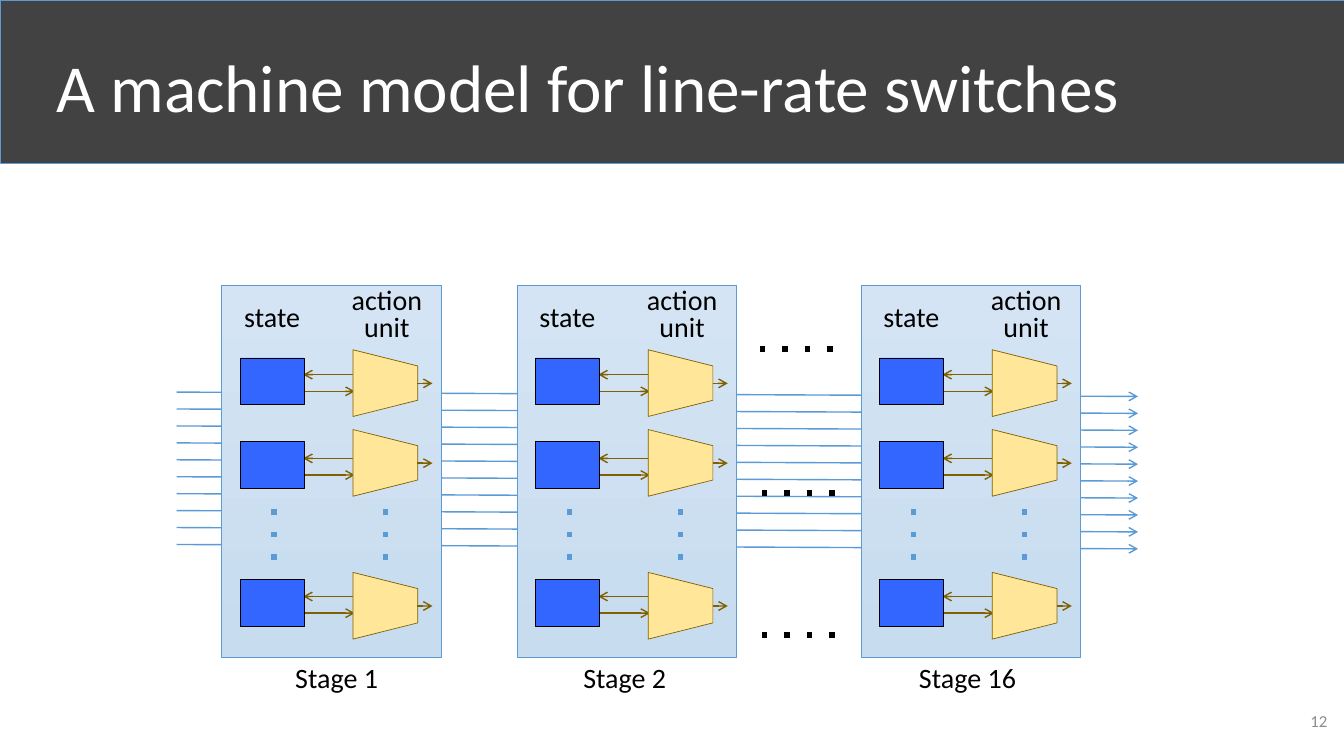
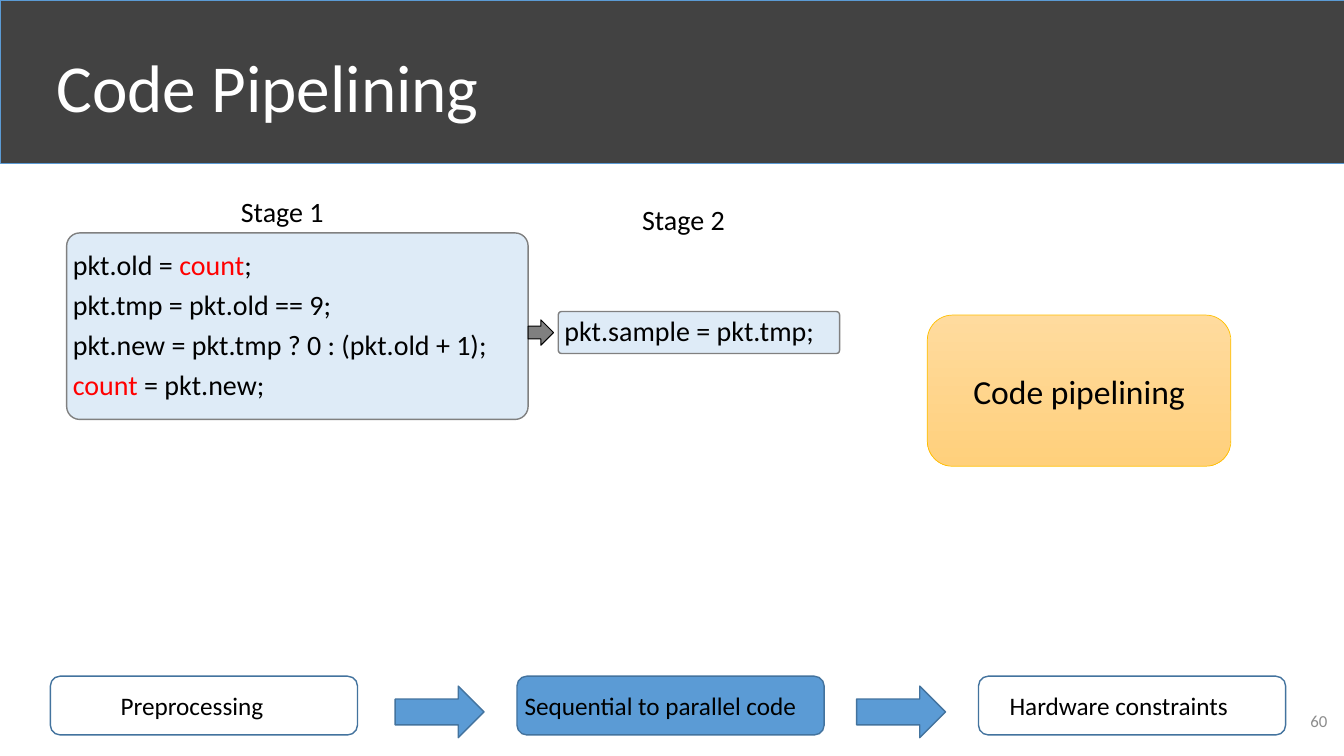
import lxml.etree
import pptx
import pptx.dml.color
import pptx.enum.shapes
import pptx.enum.text
import pptx.oxml.ns
import pptx.util

Cm = pptx.util.Cm
Pt = pptx.util.Pt
SHAPES = pptx.enum.shapes.MSO_SHAPE
ALIGN = pptx.enum.text.PP_ALIGN
ANCHOR = pptx.enum.text.MSO_ANCHOR
qn = pptx.oxml.ns.qn

FONT = "Calibri"
COLOURS = {
    "band": "424242", "blue": "5B9BD5", "blue_edge": "43739E",
    "white": "FFFFFF", "black": "000000", "grey": "808080",
    "page_number": "8C8C8C", "state": "3366FF", "unit": "FFE699",
    "brown": "806000", "stage_top": "D4E4F4", "stage_bottom": "C7DCEF",
    "code": "DEEBF7", "red": "FF0000", "gold": "FFC000",
    "orange_top": "FFDB9E", "orange_bottom": "FFD07C",
}
SLIDE_WIDTH, SLIDE_HEIGHT = 33.87, 19.05
BAND_BOX = (0, 0, SLIDE_WIDTH, 4.11)
TITLE_BOX = (1.17, 0.33, 29.21, 3.68)
# The page number sits in the margin right of all content
NUMBER_BOX = (32.5, 17.65, 1.2, 1.02)


def rgb(name):
    return pptx.dml.color.RGBColor.from_string(COLOURS[name])


def in_cm(box):
    return [Cm(length) for length in box]


# Text
def write(frame, paragraphs, size=20, colour="black", align=ALIGN.LEFT,
          anchor=ANCHOR.MIDDLE, spacing=None, after=0, insets=None, wrap=True):
    """Each paragraph is a string or a list of (text, colour) spans."""
    frame.word_wrap = wrap
    frame.auto_size = pptx.enum.text.MSO_AUTO_SIZE.NONE
    frame.vertical_anchor = anchor
    if insets:
        (frame.margin_left, frame.margin_top,
         frame.margin_right, frame.margin_bottom) = in_cm(insets)
    if isinstance(paragraphs, str):
        paragraphs = [paragraphs]
    for index, content in enumerate(paragraphs):
        para = frame.add_paragraph() if index else frame.paragraphs[0]
        para.alignment = align
        para.space_after = Pt(after)
        if spacing:
            para.line_spacing = spacing
        spans = [(content, colour)] if isinstance(content, str) else content
        for text, span_colour in spans:
            span = para.add_run()
            span.text = text
            span.font.name = FONT
            span.font.size = Pt(size)
            span.font.color.rgb = rgb(span_colour)


def add_text(page, box, text, **style):
    label = page.shapes.add_textbox(*in_cm(box))
    write(label.text_frame, text, **style)


# Shapes and lines
def add_block(page, kind, box, fill=None, line="black", width=0.5,
              rotation=0, radius=None):
    """A fill is None, a colour name, or a (top, bottom) pair."""
    block = page.shapes.add_shape(kind, *in_cm(box))
    block.shadow.inherit = False
    block.rotation = rotation
    if radius is not None:
        block.adjustments[0] = radius
    if fill is None:
        block.fill.background()
    elif isinstance(fill, tuple):
        block.fill.gradient()
        block.fill.gradient_angle = 270
        for stop, name in zip(block.fill.gradient_stops, fill):
            stop.color.rgb = rgb(name)
    else:
        block.fill.solid()
        block.fill.fore_color.rgb = rgb(fill)
    block.line.color.rgb = rgb(line)
    block.line.width = Pt(width)
    return block


def add_line(page, start, end, colour, width=1, dotted=False):
    """A dotted line has no head; a solid one ends in an open arrow."""
    connector = page.shapes.add_connector(
        pptx.enum.shapes.MSO_CONNECTOR.STRAIGHT, *in_cm(start + end))
    connector.line.color.rgb = rgb(colour)
    connector.line.width = Pt(width)
    properties = connector.element.spPr
    outline = properties.find(qn("a:ln"))
    if dotted:
        lxml.etree.SubElement(outline, qn("a:prstDash"), val="dot")
    else:
        lxml.etree.SubElement(outline, qn("a:tailEnd"), type="arrow")
    lxml.etree.SubElement(properties, qn("a:effectLst"))


# Shared parts
def add_band(page):
    """Puts the dark title band at the back of the page's layout."""
    band = add_block(page, SHAPES.RECTANGLE, BAND_BOX, "band", "blue")
    band.element.xpath("./p:nvSpPr/p:cNvPr")[0].set("id", "50")
    page.slide_layout.shapes.element.insert(2, band.element)


def add_page(deck, heading, number):
    page = deck.slides.add_slide(deck.slide_layouts.get_by_name("Title Only"))
    title = page.shapes.title
    title.left, title.top, title.width, title.height = in_cm(TITLE_BOX)
    write(title.text_frame, heading, size=48, colour="white")
    add_text(page, NUMBER_BOX, number, size=12, colour="page_number",
             align=ALIGN.RIGHT)
    return page


# Machine model
def add_wires(page, box, count=10, drop=0.11):
    left, top, width, height = box
    for index in range(count):
        y = top + index * height / (count - 1)
        add_line(page, (left, y), (left + width, y + drop), "blue")


def add_state_row(page, left, state_top, unit_top):
    write_y, read_y = state_top + 0.42, state_top + 0.84
    out_y = unit_top + 0.82
    add_line(page, (left + 1.35, read_y), (left + 3.35, read_y), "brown")
    add_line(page, (left + 3.5, write_y), (left + 2.05, write_y), "brown")
    add_block(page, SHAPES.RECTANGLE, (left + 0.47, state_top, 1.6, 1.17),
              "state")
    add_block(page, SHAPES.TRAPEZOID, (left + 3.28, unit_top, 1.68, 1.63),
              "unit", "brown", rotation=90)
    add_line(page, (left + 4.93, out_y), (left + 5.31, out_y), "brown")


def add_stage(page, box, name, name_left):
    left, top, width, height = box
    add_block(page, SHAPES.RECTANGLE, box, ("stage_top", "stage_bottom"),
              "blue")
    add_text(page, (name_left, top + height - 0.05, 3, 1.12), name,
             anchor=ANCHOR.TOP, wrap=False)
    headings = [("state", (left - 0.15, top + 0.33, 2.84, 1.07)),
                ("action unit", (left + 2.79, top - 0.08, 2.74, 1.75))]
    for heading, place in headings:
        add_text(page, place, heading, align=ALIGN.CENTER, anchor=ANCHOR.TOP,
                 spacing=0.8, insets=(0.36, 0.18, 0.36, 0.18))
    for state_offset, unit_offset in [(1.83, 1.65), (3.94, 3.66), (7.42, 7.26)]:
        add_state_row(page, left, top + state_offset, top + unit_offset)
    for offset in (1.32, 4.12):
        add_line(page, (left + offset, top + 5.64), (left + offset, top + 7.01),
                 "blue", width=4, dotted=True)


def build_machine_model(deck):
    page = add_page(deck, "A machine model for line-rate switches", "12")
    add_band(page)
    add_wires(page, (4.45, 9.88, 24.23, 3.84))
    for left, y in [(19.15, 8.79), (19.2, 12.42), (19.2, 16)]:
        add_line(page, (left, y), (left + 2.18, y), "black", width=4,
                 dotted=True)
    stages = [(5.59, "Stage 1", 7.19), (13.03, "Stage 2", 14.45),
              (21.7, "Stage 16", 22.91)]
    for left, name, name_left in stages:
        add_stage(page, (left, 7.19, 5.54, 9.37), name, name_left)


# Code pipelining
def add_code(page, box, lines, radius, inset):
    block = add_block(page, SHAPES.ROUNDED_RECTANGLE, box, "code", "grey",
                      width=1, radius=radius)
    write(block.text_frame, lines, spacing=0.9, after=7, insets=(inset,) * 4)


def add_code_stages(page, box):
    left, top, width, height = box
    middle = top + height / 2 + 0.16
    first_width, second_width = 11.63, 7.09
    add_text(page, (left + 4.14, top - 1.09, 3, 1.12), "Stage 1",
             anchor=ANCHOR.TOP, wrap=False)
    add_text(page, (left + 14.25, top - 0.89, 3, 1.12), "Stage 2",
             anchor=ANCHOR.TOP, wrap=False)
    add_code(page, (left, top, first_width, height), [
        [("pkt.old = ", "black"), ("count", "red"), (";", "black")],
        "pkt.tmp = pkt.old == 9;",
        "pkt.new = pkt.tmp ? 0 : (pkt.old + 1);",
        [("count ", "red"), ("= pkt.new;", "black")],
    ], radius=0.07, inset=0.06)
    add_block(page, SHAPES.RIGHT_ARROW,
              (left + first_width, middle - 0.32, 0.64, 0.64), "grey",
              width=0.75)
    add_code(page, (left + width - second_width, middle - 0.53,
                    second_width, 1.06),
             ["pkt.sample = pkt.tmp;"], radius=0.08, inset=0.13)


def add_progress(page, box, current):
    left, top, width, height = box
    steps = [(0, "Preprocessing", 1.7),
             (11.76, "Sequential to parallel code", 0.12),
             (width - 7.74, "Hardware constraints", 0.71)]
    for index, (offset, name, indent) in enumerate(steps):
        x = left + offset
        step = add_block(page, SHAPES.ROUNDED_RECTANGLE, (x, top, 7.74, height),
                         "blue" if name == current else None, "blue_edge",
                         width=1)
        write(step.text_frame, name, size=18, insets=(indent, 0, 0, 0))
        if index:
            add_block(page, SHAPES.RIGHT_ARROW, (x - 3.07, top + 0.25, 2.24, 1.3),
                      "blue", "blue_edge", width=1)


def build_code_pipelining(deck):
    page = add_page(deck, "Code Pipelining", "60")
    add_progress(page, (1.27, 17.04, 31.13, 1.48),
                 "Sequential to parallel code")
    topic = add_block(page, SHAPES.ROUNDED_RECTANGLE, (23.37, 7.94, 7.65, 3.81),
                      ("orange_top", "orange_bottom"), "gold")
    write(topic.text_frame, "Code pipelining", size=24, align=ALIGN.CENTER)
    add_code_stages(page, (1.68, 5.87, 19.48, 4.7))


def main():
    deck = pptx.Presentation()
    deck.slide_width, deck.slide_height = Cm(SLIDE_WIDTH), Cm(SLIDE_HEIGHT)
    build_machine_model(deck)
    build_code_pipelining(deck)
    deck.save("out.pptx")


if __name__ == "__main__":
    main()
